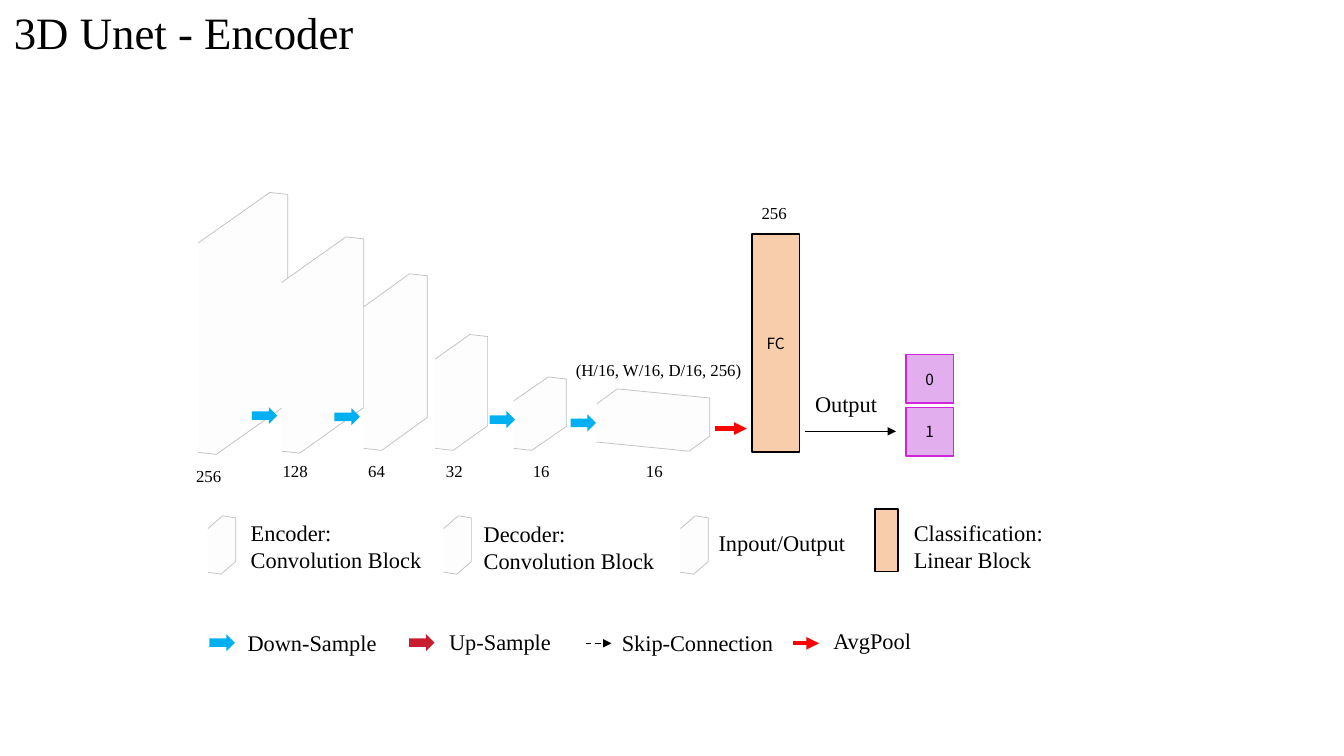
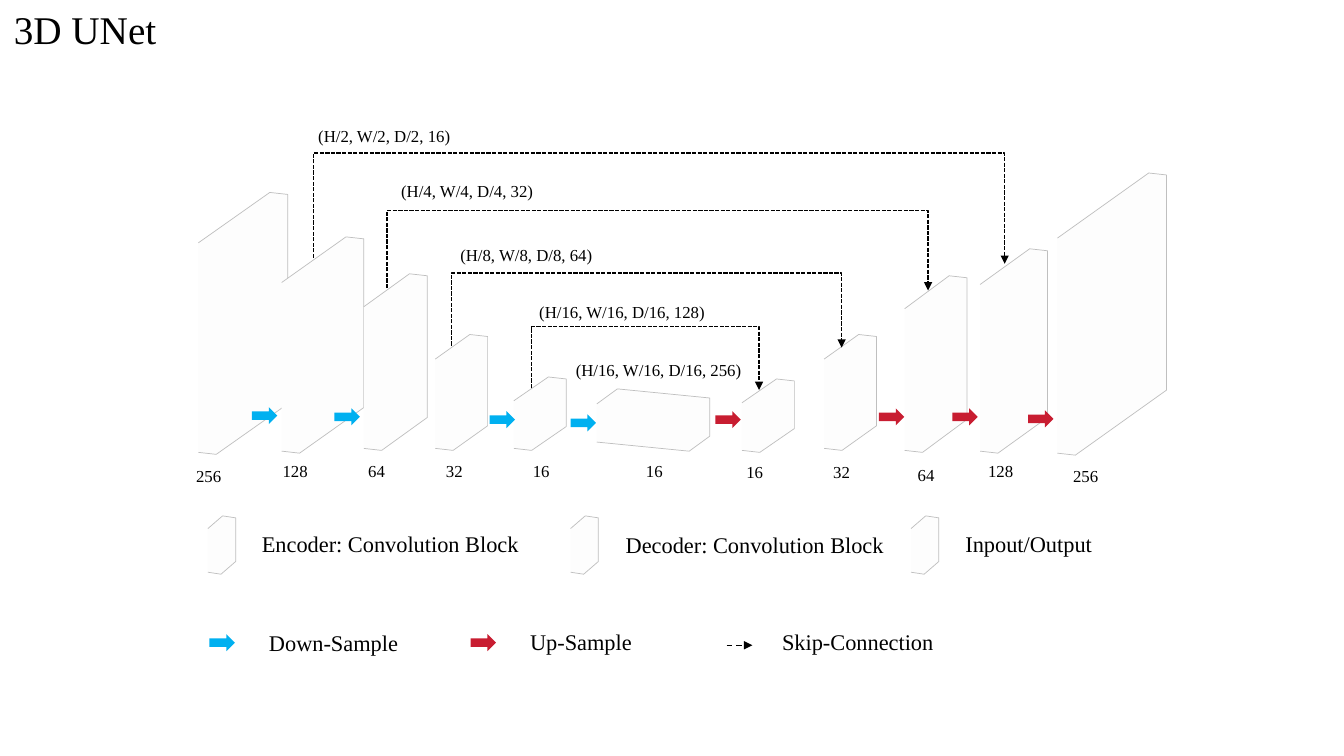
"""Build two slides showing a 3D U-Net encoder classifier and the full 3D U-Net."""
from lxml.etree import SubElement
from pptx import Presentation
from pptx.dml.color import RGBColor
from pptx.enum.dml import MSO_LINE
from pptx.enum.shapes import MSO_CONNECTOR, MSO_SHAPE
from pptx.enum.text import MSO_ANCHOR, PP_ALIGN
from pptx.oxml.ns import qn
from pptx.util import Cm, Pt

COLORS = {
    "text": "000000", "block": "FDFDFD", "edge": "BFBFBF",
    "down": "00B0F0", "up": "C81D31", "pool": "FF0000",
    "linear": "F8CDAC", "class": "E3AEEE", "class_edge": "CD26DA",
}
SERIF, SANS = "Times New Roman", "Noto Sans CJK KR"

# Blocks: left, top, width, height, rise
ENCODER = [
    (5.0, 4.85, 2.25, 6.6, 1.27),
    (7.1, 5.97, 2.07, 5.45, 1.15),
    (9.17, 6.9, 1.6, 4.45, 0.83),
    (10.97, 8.43, 1.32, 2.92, 0.62),
    (12.95, 9.5, 1.32, 1.85, 0.6),
]
BOTTLENECK = (15.04, 9.8, 2.85, 1.57, 0.38)
DECODER = [
    (18.7, 9.55, 1.32, 1.85, 0.6),
    (20.77, 8.43, 1.32, 2.92, 0.62),
    (22.8, 6.95, 1.57, 4.45, 0.83),
    (24.7, 6.27, 1.7, 5.15, 0.9),
    (26.65, 4.36, 2.75, 7.11, 1.64),
]
ENCODER_SIZES = [
    ("256", 4.27, 11.6), ("128", 6.45, 11.48), ("64", 8.5, 11.48),
    ("32", 10.46, 11.48), ("16", 12.65, 11.48), ("16", 15.5, 11.48),
]
DECODER_SIZES = [
    ("16", 18.03, 11.5), ("32", 20.22, 11.5), ("64", 22.35, 11.58),
    ("128", 24.23, 11.48), ("256", 26.37, 11.6),
]
DOWN_ARROWS = [(6.35, 10.26), (8.43, 10.29), (12.34, 10.36), (14.38, 10.44)]
UP_ARROWS = [(18.03, 10.36), (22.15, 10.29), (24.0, 10.29), (25.91, 10.34)]

# Skips: start x, start y, end x, end y, level, label, label left, label top
SKIPS = [
    (7.9, 6.5, 25.32, 6.65, 3.86, "(H/2, W/2, D/2, 16)", 7.77, 3.05),
    (9.75, 7.26, 23.39, 7.32, 5.31, "(H/4, W/4, D/4, 32)", 9.86, 4.42),
    (11.38, 8.71, 21.21, 8.76, 6.88, "(H/8, W/8, D/8, 64)", 11.35, 6.05),
    (13.39, 9.78, 19.13, 9.83, 8.23, "(H/16, W/16, D/16, 128)", 13.34, 7.49),
]

# Legends: kind, marker left, marker top, text, text left, text top, text width
ENCODER_LEGEND = [
    ("block", 5.24, 13.0, "Encoder:\nConvolution Block", 6.07, 12.95, 5.36),
    ("block", 11.18, 13.0, "Decoder:\nConvolution Block", 11.94, 12.98, 5.38),
    ("block", 17.15, 13.0, "Inpout/Output", 17.86, 13.21, 4.9),
    ("linear", 22.05, 12.83, "Classification: Linear Block", 22.78, 12.95, 4.9),
    ("down", 5.28, 15.98, "Down-Sample", 5.99, 15.72, 4.14),
    ("up", 10.31, 15.98, "Up-Sample", 11.07, 15.7, 4.47),
    ("skip", 14.76, 16.21, "Skip-Connection", 15.42, 15.72, 4.47),
    ("pool", 19.99, 16.21, "AvgPool", 20.75, 15.67, 4.47),
]
UNET_LEGEND = [
    ("block", 5.24, 13.0, "Encoder: Convolution Block", 6.35, 13.23, 7.7),
    ("block", 14.38, 13.0, "Decoder: Convolution Block", 15.52, 13.26, 7.7),
    ("block", 22.96, 13.0, "Inpout/Output", 24.08, 13.23, 4.9),
    ("down", 5.28, 15.98, "Down-Sample", 6.53, 15.72, 4.14),
    ("up", 11.86, 15.98, "Up-Sample", 13.11, 15.7, 4.47),
    ("skip", 18.31, 16.26, "Skip-Connection", 19.46, 15.7, 4.47),
]


def rgb(name):
    return RGBColor.from_string(COLORS[name])


def write(tf, text, size=16, font=SERIF, align=PP_ALIGN.LEFT):
    tf.word_wrap = True
    for i, line in enumerate(text.split("\n")):
        p = tf.paragraphs[0] if i == 0 else tf.add_paragraph()
        p.alignment = align
        r = p.add_run()
        r.text = line
        r.font.size, r.font.name = Pt(size), font
        r.font.color.rgb = rgb("text")


def add_text(s, text, x, y, w, h=0.94, **fmt):
    sp = s.shapes.add_textbox(Cm(x), Cm(y), Cm(w), Cm(h))
    write(sp.text_frame, text, **fmt)


def paint(sp, fill, line=None, width=1):
    sp.shadow.inherit = False
    sp.fill.solid()
    sp.fill.fore_color.rgb = rgb(fill)
    if line:
        sp.line.color.rgb = rgb(line)
        sp.line.width = Pt(width)
    else:
        sp.line.fill.background()


def add_block(s, x, y, w, h, rise, edge=0.45, skew=0.05):
    right, bottom = x + w, y + h
    outline = [
        (x, y + rise), (right - edge, y), (right, y + skew),
        (right, bottom - rise), (x + edge, bottom), (x, bottom - skew),
    ]
    points = [(Cm(px), Cm(py)) for px, py in outline]
    builder = s.shapes.build_freeform(*points[0])
    builder.add_line_segments(points[1:], close=False)
    paint(builder.convert_to_shape(), "block", "edge", 0.5)


def add_arrow(s, x, y, color):
    sp = s.shapes.add_shape(MSO_SHAPE.RIGHT_ARROW, Cm(x), Cm(y), Cm(0.64), Cm(0.43))
    paint(sp, color)


def add_box(s, x, y, w, h, fill, line, text=None):
    sp = s.shapes.add_shape(MSO_SHAPE.RECTANGLE, Cm(x), Cm(y), Cm(w), Cm(h))
    paint(sp, fill, line)
    if text:
        sp.text_frame.vertical_anchor = MSO_ANCHOR.MIDDLE
        write(sp.text_frame, text, size=11, font=SANS, align=PP_ALIGN.CENTER)


def add_line(s, x1, y1, x2, y2, color="text", width=1, dash=None, kind=MSO_CONNECTOR.STRAIGHT):
    cxn = s.shapes.add_connector(kind, Cm(x1), Cm(y1), Cm(x2), Cm(y2))
    cxn.line.color.rgb = rgb(color)
    cxn.line.width = Pt(width)
    if dash:
        cxn.line.dash_style = dash
    SubElement(cxn.line._get_or_add_ln(), qn("a:tailEnd"), type="triangle")
    SubElement(cxn._element.spPr, qn("a:effectLst"))
    return cxn


def add_skip(s, x1, y1, x2, y2, level):
    cxn = add_line(s, x1, y1, x2, y2, dash=MSO_LINE.SQUARE_DOT, kind=MSO_CONNECTOR.ELBOW)
    span, drop = x2 - x1, y2 - y1
    cxn.left, cxn.top = Cm((x1 + x2 - drop) / 2), Cm((y1 + y2 - span) / 2)
    cxn.width, cxn.height = Cm(drop), Cm(span)
    sp_pr = cxn._element.spPr
    xfrm = sp_pr.find(qn("a:xfrm"))
    xfrm.set("rot", "16200000")
    xfrm.set("flipH", "1")
    geom = sp_pr.find(qn("a:prstGeom"))
    guides = geom.find(qn("a:avLst"))
    if guides is None:
        guides = SubElement(geom, qn("a:avLst"))
    adjust = round((level - y1) / drop * 100000)
    SubElement(guides, qn("a:gd"), name="adj1", fmla=f"val {adjust}")


def add_legend(s, entries):
    for kind, x, y, text, text_x, text_y, w in entries:
        if kind == "block":
            add_block(s, x, y, 0.7, 1.47, 0.32, edge=0.33)
        elif kind == "linear":
            add_box(s, x, y, 0.58, 1.57, "linear", "text")
        elif kind == "skip":
            add_line(s, x, y, x + 0.65, y, dash=MSO_LINE.DASH)
        elif kind == "pool":
            add_line(s, x, y, x + 0.65, y, color="pool", width=3)
        else:
            add_arrow(s, x, y, kind)
        add_text(s, text, text_x, text_y, w)


def add_network(prs, title, title_size, blocks, sizes, arrows, legend):
    s = prs.slides.add_slide(prs.slide_layouts[6])
    add_text(s, title, 0.1, 0, 14.27, 1.6, size=title_size)
    for block in blocks:
        add_block(s, *block)
    add_block(s, *BOTTLENECK, edge=2.33, skew=0.23)
    for color, places in arrows.items():
        for x, y in places:
            add_arrow(s, x, y, color)
    for text, x, y in sizes:
        add_text(s, text, x, y, 1.98, 0.76, size=12, align=PP_ALIGN.CENTER)
    add_text(s, "(H/16, W/16, D/16, 256)", 13.36, 8.94, 6.48, 0.76,
             size=12, align=PP_ALIGN.CENTER)
    add_legend(s, legend)
    return s


def main():
    prs = Presentation()
    prs.slide_width, prs.slide_height = Cm(33.87), Cm(19.05)

    s = add_network(prs, "3D Unet - Encoder", 32, ENCODER,
                    ENCODER_SIZES + [("256", 18.52, 4.98)],
                    {"down": DOWN_ARROWS}, ENCODER_LEGEND)
    add_box(s, 18.95, 5.9, 1.2, 5.49, "linear", "text", "FC")
    for i, label in enumerate(("0", "1")):
        add_box(s, 22.83, 8.94 + i * 1.33, 1.2, 1.22, "class", "class_edge", label)
    add_line(s, 18.03, 10.8, 18.82, 10.8, color="pool", width=3)
    add_line(s, 20.29, 10.87, 22.58, 10.87)
    add_text(s, "Output", 20.29, 9.7, 4.47)

    s = add_network(prs, "3D UNet", 28, ENCODER + DECODER,
                    ENCODER_SIZES + DECODER_SIZES,
                    {"down": DOWN_ARROWS, "up": UP_ARROWS}, UNET_LEGEND)
    for *route, label, x, y in SKIPS:
        add_skip(s, *route)
        add_text(s, label, x, y, 6.48, 0.76, size=12)

    prs.save("out.pptx")


if __name__ == "__main__":
    main()
